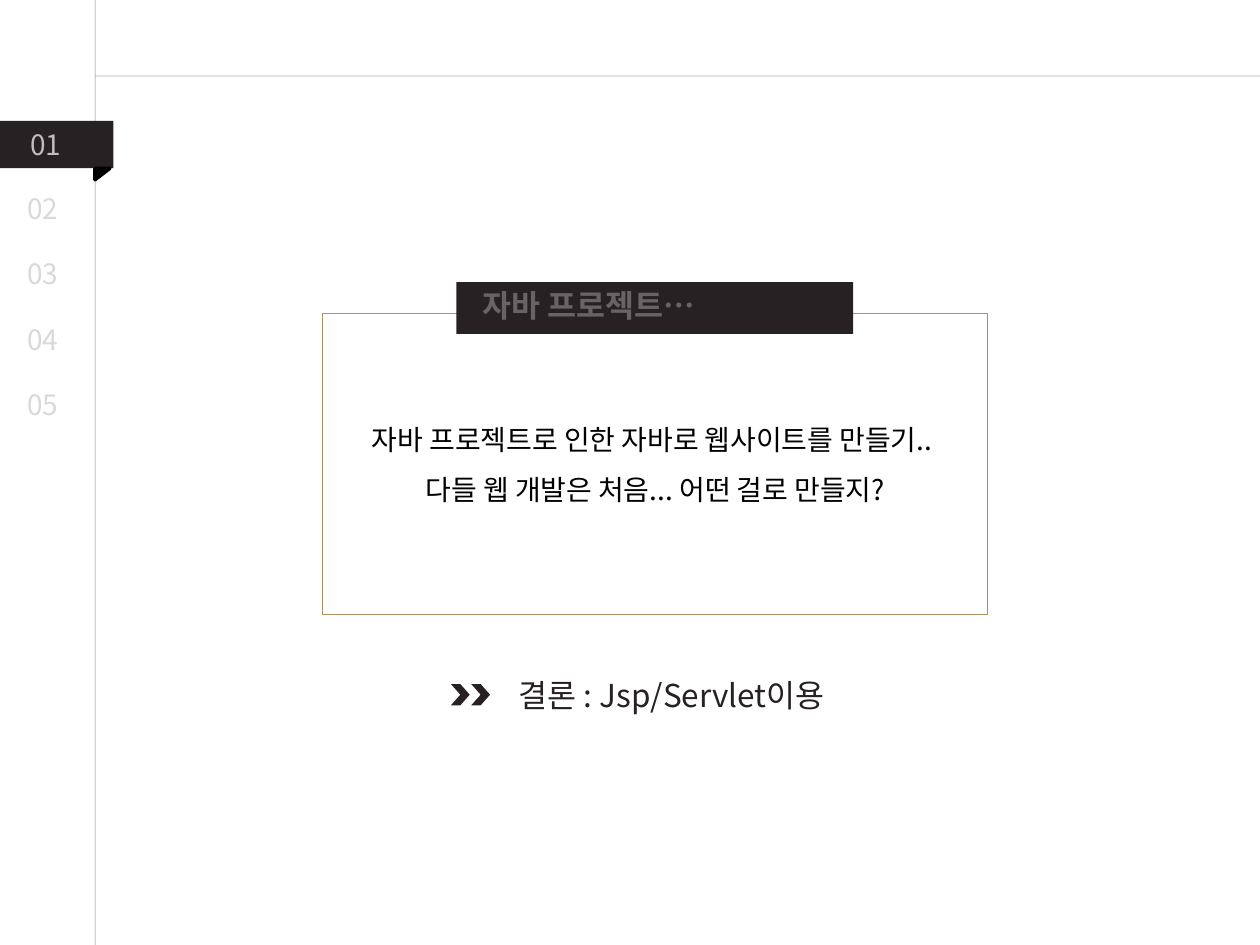
from lxml.etree import SubElement
from pptx import Presentation
from pptx.dml.color import RGBColor
from pptx.enum.shapes import MSO_CONNECTOR, MSO_SHAPE
from pptx.enum.text import MSO_AUTO_SIZE, PP_ALIGN
from pptx.oxml.ns import qn
from pptx.util import Cm, Pt

# Content
SECTIONS = ["01", "02", "03", "04", "05"]
HEADING = ["자바 프로젝트…"]
MESSAGE = ["자바 프로젝트로 인한 자바로 웹사이트를 만들기.. ",
           "다들 웹 개발은 처음... 어떤 걸로 만들지?"]
CONCLUSION = ["결론 : Jsp/Servlet이용"]

THEME = {
    "font": "Noto Sans CJK KR",
    "dark": "272123", "gold": "AF9061", "black": "000000", "white": "FFFFFF",
    "rule": "A6A6A6", "active": "BFBFBF", "idle": "D9D9D9",
    "body": Pt(16), "title": Pt(18),
    "veil": 30, "rule_alpha": 50,  # percent opacity
}

# Layout in centimetres
WIDTH, HEIGHT = 25.4, 19.05
RULE_X, RULE_Y = 1.92, 1.53
TAB_TOP, TAB_STEP = 3.73, 1.32
CHEVRON_LEFT, CHEVRON_STEP = 9.09, 0.41

deck = Presentation()
deck.slide_width, deck.slide_height = Cm(WIDTH), Cm(HEIGHT)
slide = deck.slides.add_slide(deck.slide_layouts[6])


def color(name):
    return RGBColor.from_string(THEME[name])


def apply(target, values):
    for key, value in values.items():
        setattr(target, key, value)


def set_alpha(parent, percent):
    """Make the solid colour found below parent partly transparent."""
    tone = next(parent.iter(qn("a:srgbClr")))
    SubElement(tone, qn("a:alpha")).set("val", str(percent * 1000))


def add_block(preset, box, fill=None, line=None, weight=1, rotation=0):
    block = slide.shapes.add_shape(preset, *map(Cm, box))
    apply(block, {"rotation": rotation})
    block.shadow.inherit = False
    for part, name in ((block.fill, fill), (block.line.fill, line)):
        if name:
            part.solid()
            part.fore_color.rgb = color(name)
        else:
            part.background()
    if line:
        block.line.width = Pt(weight)


def add_rule(*ends):
    rule = slide.shapes.add_connector(MSO_CONNECTOR.STRAIGHT, *map(Cm, ends))
    rule.line.color.rgb = color("rule")
    rule.line.width = Pt(0.75)
    set_alpha(rule.line._ln, THEME["rule_alpha"])
    SubElement(rule._element.spPr, qn("a:effectLst"))


def outline_text(props, name):
    edge = SubElement(props, qn("a:ln"), w=str(Pt(0.75)))
    tone = SubElement(SubElement(edge, qn("a:solidFill")), qn("a:srgbClr"))
    tone.set("val", THEME[name])
    set_alpha(edge, THEME["veil"])
    props.insert(0, edge)


def add_text(lines, box, tone, edge="black", size="body", bold=None,
             alpha=None, layout=None):
    frame = slide.shapes.add_textbox(*map(Cm, box)).text_frame
    apply(frame, {"word_wrap": True,
                  "auto_size": MSO_AUTO_SIZE.SHAPE_TO_FIT_TEXT})
    for number, words in enumerate(lines):
        paragraph = frame.add_paragraph() if number else frame.paragraphs[0]
        apply(paragraph, layout or {})
        run = paragraph.add_run()
        run.text = words
        apply(run.font, {"name": THEME["font"], "size": THEME[size],
                         "bold": bold})
        run.font.color.rgb = color(tone)
        props = run.font._element
        if alpha:
            set_alpha(props, alpha)
        SubElement(props, qn("a:ea"), typeface=THEME["font"])
        outline_text(props, edge)


# Message frame and page rules
add_block(MSO_SHAPE.RECTANGLE, (6.5, 6.32, 13.41, 6.07),
          line="gold", weight=0.5)
add_rule(RULE_X, 0, RULE_X, HEIGHT)
add_rule(WIDTH, RULE_Y, RULE_X, RULE_Y)

# Section tabs, the first one on a folded ribbon
add_block(MSO_SHAPE.RECTANGLE, (-0.02, 2.44, 2.31, 0.95), fill="dark")
add_block(MSO_SHAPE.RIGHT_TRIANGLE, (1.95, 3.36, 0.23, 0.3),
          fill="black", line="black", weight=2, rotation=90)
active, *idle = SECTIONS
add_text([active], (0.36, 2.44, 1.5, 0.94), "active", edge="active")
for row, section in enumerate(idle):
    add_text([section], (0.3, TAB_TOP + row * TAB_STEP, 1.24, 0.94), "idle")

# Heading bar
add_block(MSO_SHAPE.RECTANGLE, (9.2, 5.69, 8, 1.04), fill="dark")
add_text(HEADING, (9.47, 5.64, 7.44, 1.02), "white", edge="gold",
         size="title", bold=True, alpha=THEME["veil"])

# Message
add_text(MESSAGE, (6.71, 8.05, 13, 2.31), "black", edge="gold",
         layout={"alignment": PP_ALIGN.CENTER, "line_spacing": 1.5})

# Conclusion with its double chevron
for step in range(2):
    add_block(MSO_SHAPE.CHEVRON,
              (CHEVRON_LEFT + step * CHEVRON_STEP, 13.79, 0.38, 0.43),
              fill="dark")
add_text(CONCLUSION, (10.21, 13.51, 8.28, 1.02), "dark", size="title")

deck.save("out.pptx")
